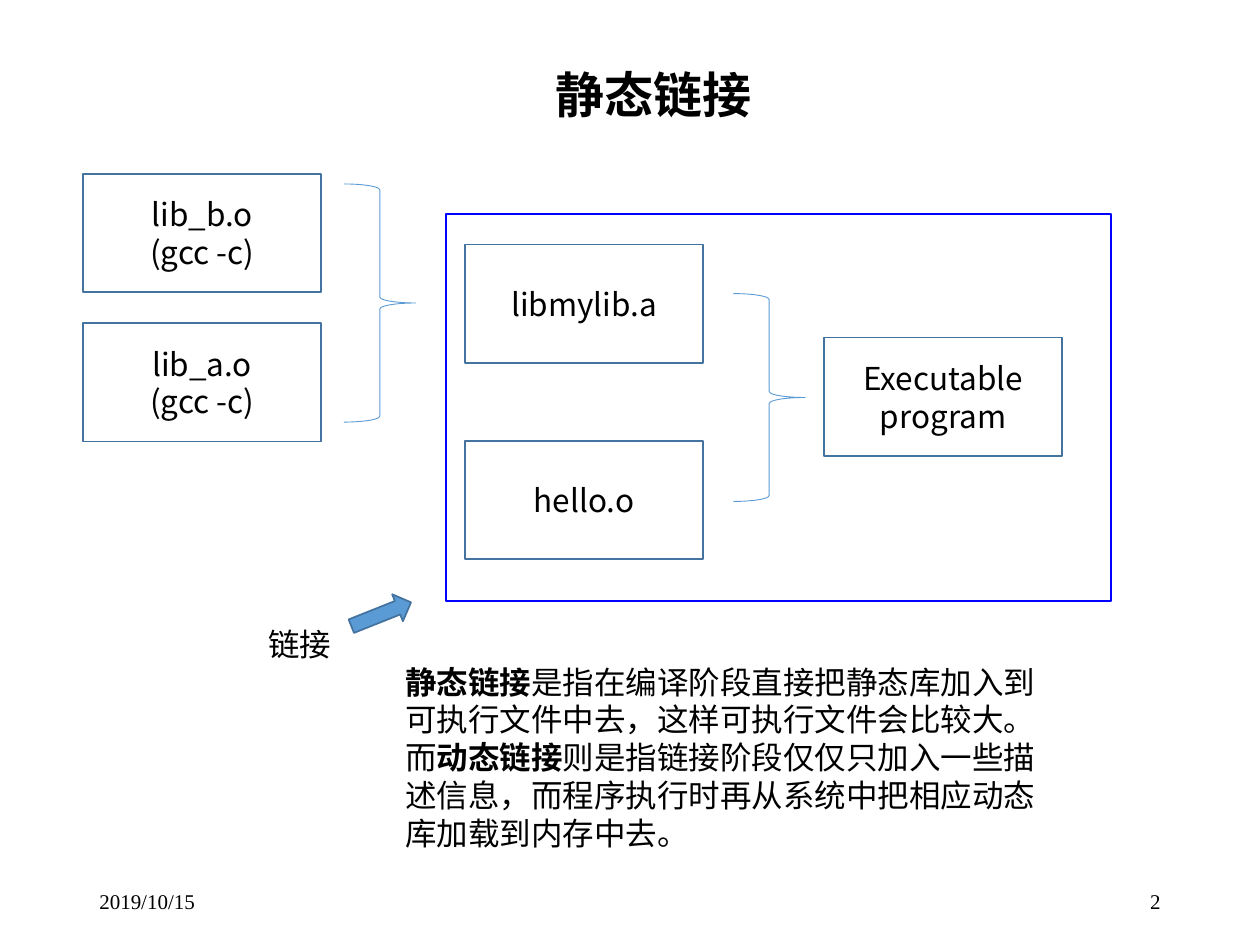
from dataclasses import dataclass

from lxml import etree
from pptx import Presentation
from pptx import util as u
from pptx.dml.color import RGBColor
from pptx.enum import shapes, text
from pptx.oxml import ns

COLS, ROWS = 100, 75
BOX = (18.9, 9.4)
KIND = shapes.MSO_SHAPE
ALIGN = text.PP_ALIGN
MID = text.MSO_ANCHOR.MIDDLE


@dataclass(frozen=True)
class Theme:
    ink: str = "000000"
    paper: str = "FFFFFF"
    edge: str = "43739E"
    sky: str = "5B9BD5"
    frame: str = "0000FF"
    head: int = 28
    main: int = 18
    small: int = 12
    cjk: str = "Noto Sans CJK SC"
    sans: str = "Arial"
    prose: str = "DejaVu Sans"
    serif: str = "Times New Roman"


def write(shape, paras, *, size, font, color, east, align=ALIGN.LEFT,
          anchor=text.MSO_ANCHOR.TOP, wrap=True, bold=False):
    """Fill a shape; each paragraph is a string or a list of (words, bold)."""
    frame = shape.text_frame
    frame.word_wrap = wrap
    frame.vertical_anchor = anchor
    frame.auto_size = text.MSO_AUTO_SIZE.NONE
    for i, runs in enumerate(paras):
        para = frame.add_paragraph() if i else frame.paragraphs[0]
        para.alignment = align
        para.line_spacing = u.Pt(size * 1.2)
        para.space_before = para.space_after = u.Pt(0)
        for words, heavy in [(runs, bold)] if isinstance(runs, str) else runs:
            run = para.add_run()
            run.text = words
            run.font.size, run.font.bold = u.Pt(size), heavy
            run.font.color.rgb = RGBColor.from_string(color)
            run.font.name = font
            props = run.font._element
            etree.SubElement(props, ns.qn("a:ea")).set("typeface", east)


class Deck:
    """Holds the theme and the current slide; lengths are grid cells."""

    def __init__(self, theme):
        self.theme = theme
        self.prs = Presentation()
        self.prs.slide_width, self.prs.slide_height = u.Inches(10), u.Inches(7.5)
        self.slide = self.prs.slides.add_slide(self.prs.slide_layouts[5])

    def place(self, col, row, wide, high):
        dx, dy = self.prs.slide_width / COLS, self.prs.slide_height / ROWS
        return [round(n) for n in (col * dx, row * dy, wide * dx, high * dy)]

    def style(self, **kw):
        t = self.theme
        return {"size": t.main, "font": t.sans, "color": t.ink, "east": t.cjk, **kw}

    def title(self, words, area):
        item = self.slide.shapes.title
        item.left, item.top, item.width, item.height = self.place(*area)
        write(item, [words], **self.style(size=self.theme.head, bold=True, wrap=False))

    def label(self, paras, area, **kw):
        item = self.slide.shapes.add_textbox(*self.place(*area))
        write(item, paras, **self.style(**kw))

    def shape(self, kind, area, *, line, fill=None, width=1, turn=0):
        item = self.slide.shapes.add_shape(kind, *self.place(*area))
        item.shadow.inherit = False
        item.rotation = turn
        item.line.color.rgb = RGBColor.from_string(line)
        item.line.width = u.Pt(width)
        if fill:
            item.fill.solid()
            item.fill.fore_color.rgb = RGBColor.from_string(fill)
        else:
            item.fill.background()
        return item

    def box(self, paras, col, row):
        t = self.theme
        item = self.shape(KIND.RECTANGLE, (col, row, *BOX), line=t.edge, fill=t.paper)
        write(item, paras, **self.style(font=t.cjk, align=ALIGN.CENTER, anchor=MID))

    def brace(self, col, row, high):
        self.shape(KIND.RIGHT_BRACE, (col, row, 5.7, high),
                   line=self.theme.sky, width=0.5)


def main():
    theme = Theme()
    deck = Deck(theme)
    deck.title("静态链接", (43.1, 4.6, 17.8, 5.7))

    # Object files and the library they form
    for i, name in enumerate(("lib_b.o", "lib_a.o")):
        deck.box([name, "(gcc -c)"], 6.6, 13.8 + i * 11.85)
    deck.brace(27.3, 14.6, 18.9)

    # Link step: library and main object give the program
    for i, name in enumerate(("libmylib.a", "hello.o")):
        deck.box([name], 36.9, 19.4 + i * 15.6)
    deck.brace(58.2, 23.3, 16.5)
    deck.box(["Executable program"], 65.4, 26.8)
    deck.shape(KIND.RECTANGLE, (35.4, 17, 52.8, 30.7), line=theme.frame)

    # Pointer to the link step
    deck.shape(KIND.RIGHT_ARROW, (27.7, 47.6, 5.1, 2.3),
               line=theme.edge, fill=theme.sky, turn=338.3)
    deck.label(["链接"], (20.3, 49.1, 7.1, 4), wrap=False)

    # Explanation
    deck.label([
        [("静态链接", True),
         ("是指在编译阶段直接把静态库加入到可执行文件中去，这样可执行文件会比较大。", False)],
        [("而", False), ("动态链接", True),
         ("则是指链接阶段仅仅只加入一些描述信息，而程序执行时再从系统中把相应动态库加载到内存中去。",
          False)],
    ], (31.2, 52.1, 54, 16.2), font=theme.prose)

    # Footer
    for words, col, side in (("2019/10/15", 6.9, ALIGN.LEFT), ("2", 70.6, ALIGN.RIGHT)):
        deck.label([words], (col, 69.5, 22.5, 4), size=theme.small,
                   font=theme.serif, align=side, anchor=MID)

    deck.prs.save("out.pptx")


if __name__ == "__main__":
    main()
